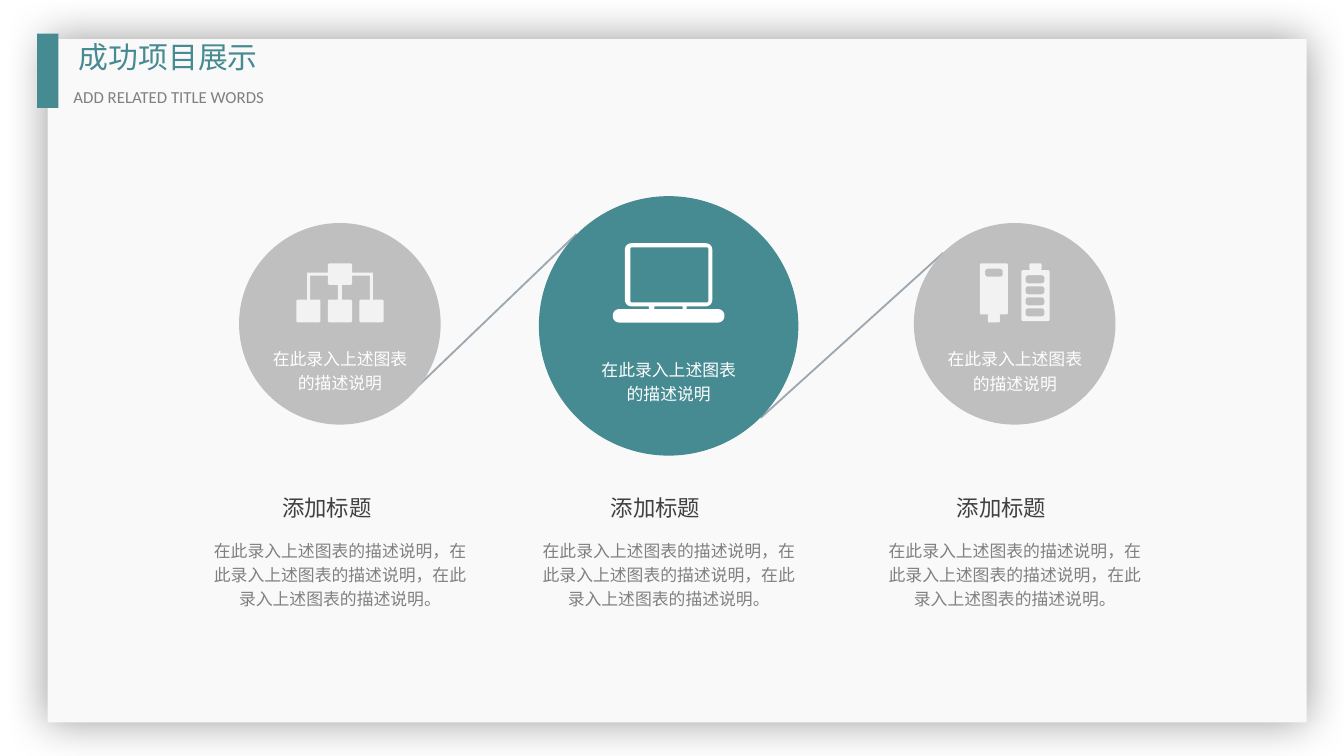
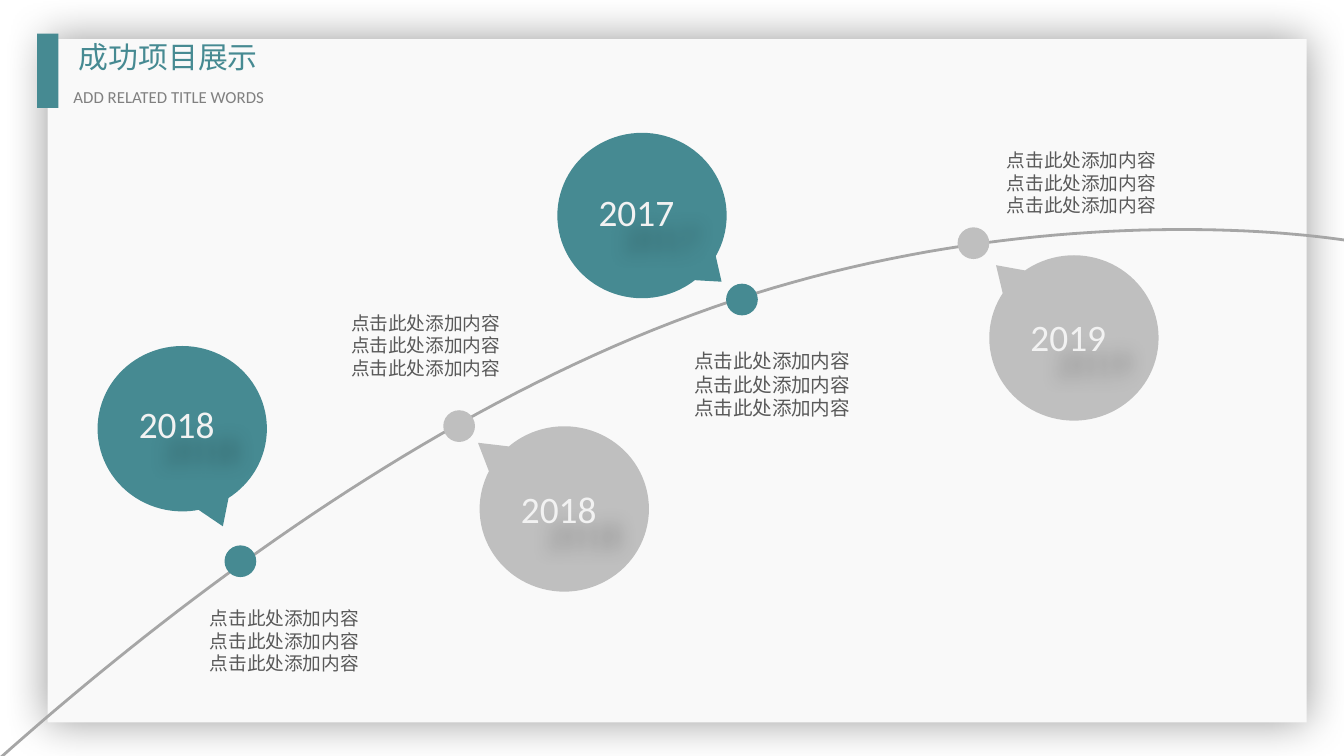
"""Build two project slides: linked circles and a rising timeline."""
import math
from lxml import etree
from pptx import Presentation, util as u
from pptx.dml import color
from pptx.enum import shapes, text
from pptx.oxml import ns

TEAL, GREY, WHITE, PALE = "468A92", "BFBFBF", "FFFFFF", "F2F2F2"
CJK, LATIN = "Noto Sans CJK SC", "Calibri"
KIND, ALIGN = shapes.MSO_SHAPE, text.PP_ALIGN
PHRASE = "在此录入上述图表的描述说明"

LAPTOP = [(6.5, 0, 46.8, 33.8, 3.4), (9.4, 2.2, 41.8, 29.5, 0.8),
          (19.4, 33.8, 2.9, 1.5, 0), (37.4, 33.8, 2.2, 1.5, 0),
          (0, 35.3, 59.8, 7.2, 3.4)]
CELLS = [(0, 0, 15.1, 27.4, 1), (4.3, 27.4, 6.5, 4.3, 0.8),
         (2.9, 2.9, 9.4, 4.3, 1.4), (22.3, 3.6, 15.1, 27.4, 1),
         (26.6, 0, 6.5, 3.6, 0.8)]
CELLS += [(24.5, 6.4 + 5.9 * i, 10.1, 4.3, 1.4) for i in range(4)]
TREE = [(16.9, 0, 13, 11.5, 1), (22.3, 11.5, 2.2, 7.9, 0),
        (5.8, 5, 11.1, 1.6, 0), (5.8, 6.6, 1.6, 12.8, 0),
        (29.9, 5, 11.1, 1.6, 0), (39.4, 6.6, 1.6, 12.8, 0)]
TREE += [(16.9 * i, 19.4, 13, 12.2, 1) for i in range(3)]


def rgb(code):
    """Turn a hex string into a colour."""
    return color.RGBColor.from_string(code)


def pts(*sizes):
    """Turn numbers into lengths in points."""
    return [u.Pt(size) for size in sizes]


def paint(shape, fill):
    """Give a shape a flat fill with no line or shadow."""
    shape.shadow.inherit = False
    shape.fill.solid()
    shape.fill.fore_color.rgb = rgb(fill)
    shape.line.fill.background()
    return shape


def block(tree, kind, box, fill):
    """Add a flat preset shape."""
    return paint(tree.add_shape(kind, *pts(*box)), fill)


def shade(shape, blur, dist, alpha):
    """Add a soft black shadow."""
    shape.shadow.inherit = False
    effect = shape._element.spPr.find(ns.qn("a:effectLst"))
    outer = etree.SubElement(effect, ns.qn("a:outerShdw"), blurRad=str(u.Pt(blur)),
                             dist=str(u.Pt(dist)), dir="2700000", algn="ctr",
                             rotWithShape="0")
    black = etree.SubElement(outer, ns.qn("a:srgbClr"), val="000000")
    etree.SubElement(black, ns.qn("a:alpha"), val=str(alpha * 1000))


def write(shape, words, size, tint, font=CJK, align=ALIGN.CENTER,
          inset=(7.2, 3.6), space=None, wrap=True):
    """Fill a text frame and format its runs."""
    frame = shape.text_frame
    frame.text = words
    frame.word_wrap = wrap
    frame.auto_size = text.MSO_AUTO_SIZE.NONE
    frame.vertical_anchor = text.MSO_ANCHOR.TOP
    frame.margin_left = frame.margin_right = u.Pt(inset[0])
    frame.margin_top = frame.margin_bottom = u.Pt(inset[1])
    for para in frame.paragraphs:
        para.alignment = align
        if space:
            para.line_spacing = space
        for run in para.runs:
            run.font.size = u.Pt(size)
            run.font.name = font
            run.font.color.rgb = rgb(tint)
            etree.SubElement(run._r.get_or_add_rPr(), ns.qn("a:ea"), typeface=font)


def label(tree, box, words, size, tint, **style):
    """Add a text box."""
    shape = tree.add_textbox(*pts(*box))
    write(shape, words, size, tint, **style)
    return shape


def round_box(left, top, wide, high, curve):
    """List the points round a box with curved corners."""
    if not curve:
        return [(left, top), (left + wide, top),
                (left + wide, top + high), (left, top + high)]
    hubs = [(left + wide - curve, top + high - curve), (left + curve, top + high - curve),
            (left + curve, top + curve), (left + wide - curve, top + curve)]
    return [(x + curve * math.cos(turn), y + curve * math.sin(turn))
            for i, (x, y) in enumerate(hubs)
            for turn in [math.radians(90 * i + 15 * step) for step in range(7)]]


def icon(tree, left, top, parts, fill):
    """Draw boxes as one outline, where an inner box is a hole."""
    rings = [[pts(x + left, y + top) for x, y in round_box(*part)] for part in parts]
    pen = tree.build_freeform(*rings[0][0], scale=1.0)
    for ring in rings:
        pen.move_to(*ring[0])
        pen.add_line_segments(ring[1:], close=True)
    paint(pen.convert_to_shape(), fill)


def base(deck):
    """Add a slide with its card, band, title and subtitle."""
    slide = deck.slides.add_slide(deck.slide_layouts[5])
    tree = slide.shapes
    card = block(tree, KIND.RECTANGLE, (25.5, 21, 674.6, 366), "F9F9F9")
    shade(card, 23, 0, 40)
    block(tree, KIND.RECTANGLE, (19.9, 18, 11.4, 39.8), TEAL)
    title = tree.title
    card._element.getparent().append(title._element)
    title.left, title.top, title.width, title.height = pts(36.7, 18, 144.7, 25.2)
    style = dict(align=ALIGN.JUSTIFY, inset=(5.6, 2.8))
    write(title, "成功项目展示", 16, TEAL, **style)
    label(tree, (33.8, 43.9, 160.6, 16.6), "ADD RELATED TITLE WORDS", 9,
          "808080", font=LATIN, **style)
    return slide


def link(tree, start, end):
    """Join two circles with a thin line."""
    line = tree.add_connector(shapes.MSO_CONNECTOR.STRAIGHT, *pts(*start, *end))
    line.line.color.rgb = rgb("9DA8B1")
    line.line.width = u.Pt(1)
    etree.SubElement(line._element.spPr, ns.qn("a:effectLst"))


def column(slide, box, parts, drop, fill, tint):
    """Draw a circle with icon and caption, and the text below it."""
    left, top, size = box
    mid = left + size / 2
    group = slide.shapes.add_group_shape().shapes
    block(group, KIND.OVAL, (left, top, size, size), fill)
    wide = max(part[0] + part[2] for part in parts)
    icon(group, mid - wide / 2, top + drop[0], parts, tint)
    label(group, (mid - 45, top + drop[1], 90, 33.1), PHRASE, 9, WHITE, space=1.2)
    label(slide.shapes, (mid - 36, 262, 59, 20.2), "添加标题", 12, "404040",
          align=ALIGN.LEFT, inset=(5, 2.9), wrap=False)
    label(slide.shapes, (mid - 73.5, 284.4, 147, 44.6), "，".join([PHRASE] * 3) + "。",
          9, "808080", inset=(5, 2.9), space=1.2)


def circles(deck):
    """Build the slide of three linked circles."""
    slide = base(deck)
    link(slide.shapes, (218.9, 211.7), (308.9, 125.3))
    link(slide.shapes, (407.5, 223.9), (505.4, 135.4))
    column(slide, (288.7, 105.1, 139), LAPTOP, (25.2, 82), TEAL, WHITE)
    column(slide, (489.6, 119.5, 108), CELLS, (21.6, 61.8), GREY, PALE)
    column(slide, (128.1, 119.5, 108), TREE, (21.6, 61.4), GREY, PALE)


def bend(knots, steps=40):
    """List points along a cubic curve."""
    for step in range(1, steps + 1):
        t = step / steps
        share = [math.comb(3, i) * t ** i * (1 - t) ** (3 - i) for i in range(4)]
        yield pts(*(sum(s * knot[axis] for s, knot in zip(share, knots))
                    for axis in (0, 1)))


def trail(tree, knots):
    """Draw the rising line through chained cubic curves."""
    pen = tree.build_freeform(*pts(*knots[0]), scale=1.0)
    for i in range(0, len(knots) - 1, 3):
        pen.add_line_segments(list(bend(knots[i:i + 4])), close=False)
    line = pen.convert_to_shape()
    line.shadow.inherit = False
    line.fill.background()
    line.line.color.rgb = rgb("A6A6A6")
    line.line.width = u.Pt(1.5)


def stop(slide, year, fill, spot, tail, drop, dot, note, size=10):
    """Draw one year: its callout, dot and note."""
    left, top = spot
    block(slide.shapes, KIND.OVAL, (*dot, 17, 17), fill)
    group = slide.shapes.add_group_shape().shapes
    bubble = block(group, KIND.OVAL_CALLOUT, (left, top, 90.7, 88.6), fill)
    bubble.adjustments[0], bubble.adjustments[1] = tail
    date = label(group, (left + 15, top + drop, 55.4, 31.7), year, 20, PALE,
                 font=LATIN, align=ALIGN.LEFT, wrap=False)
    shade(date, 10, 19, 30)
    label(slide.shapes, (*note, 110.2, 44), "\n".join(["点击此处添加内容"] * 3),
          size, "595959")


def growth(deck):
    """Build the timeline slide."""
    slide = base(deck)
    trail(slide.shapes, [(-0.7, 406.8), (95, 321.8), (228.2, 221), (371.5, 168.5),
                         (514.1, 115.9), (654.5, 118.8), (722.2, 128.9)])
    stop(slide, "2018", TEAL, (52.3, 185.4), (0.24, 0.59), 26.2,
         (120.3, 292.2), (97.2, 321.8))
    stop(slide, "2018", GREY, (257, 228.4), (-0.51, -0.4), 28.7,
         (237.5, 219.8), (172.8, 163.4))
    stop(slide, "2017", TEAL, (298.6, 71.2), (0.47, 0.4), 26.8,
         (389, 152), (358.6, 183.6), 10.5)
    stop(slide, "2019", GREY, (530, 136.8), (-0.46, -0.44), 28.2,
         (513, 121.8), (524.2, 76.3))


def main():
    """Build and save the deck."""
    deck = Presentation()
    deck.slide_width, deck.slide_height = pts(720, 405)
    circles(deck)
    growth(deck)
    deck.save("out.pptx")


if __name__ == "__main__":
    main()
